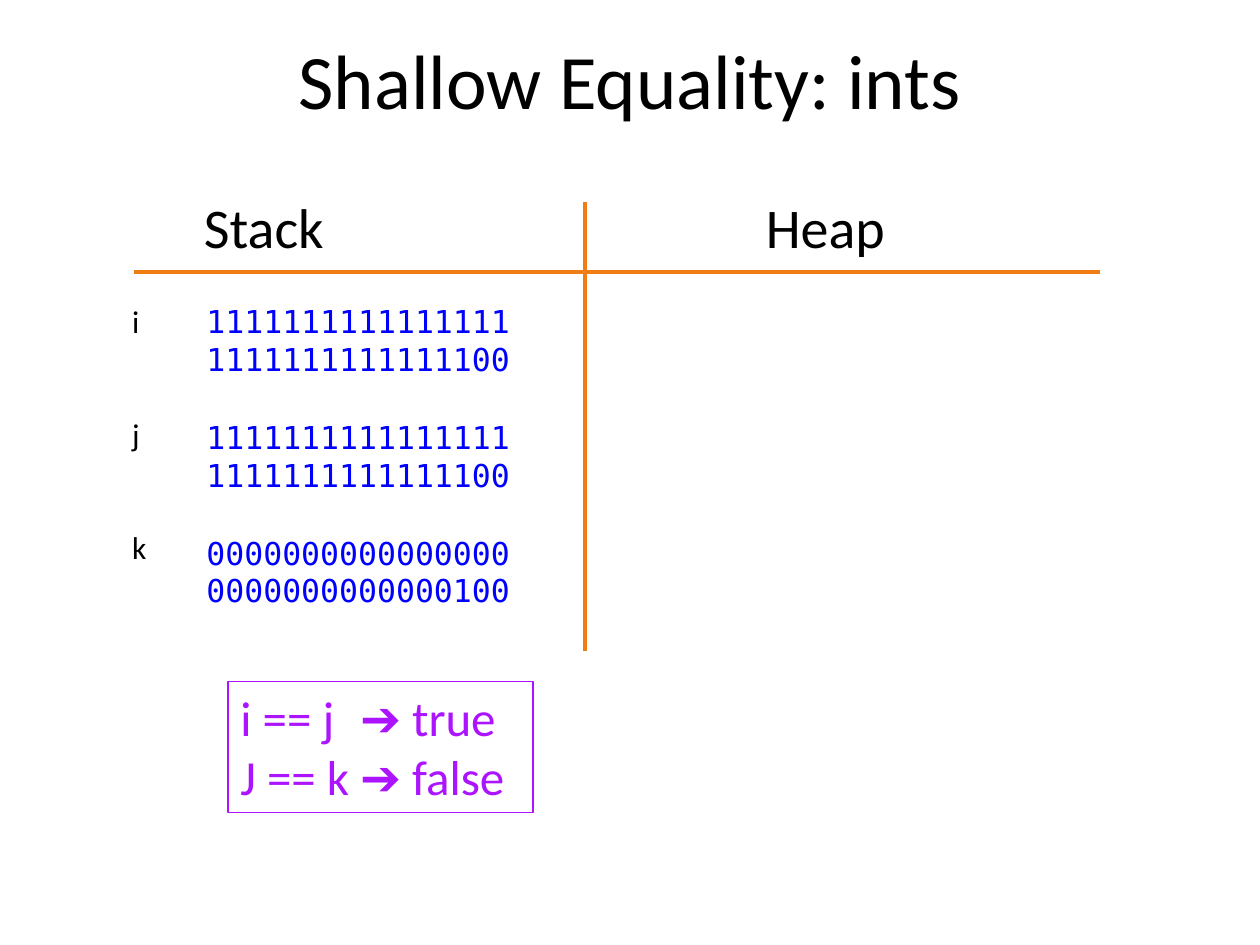
from dataclasses import dataclass

from pptx import Presentation, util as u
from pptx.dml.color import RGBColor
from pptx.enum import shapes, text
from pptx.oxml.ns import qn
from lxml import etree

Inches, Pt = u.Inches, u.Pt


@dataclass(frozen=True)
class Theme:
    ink: str = "000000"
    rule: str = "F27C14"
    bits: str = "0000FF"
    result: str = "AC13FF"
    body_font: str = "Calibri"
    code_font: str = "DejaVu Sans Mono"
    title_size: int = 44
    heading_size: int = 32
    result_size: int = 28
    body_size: int = 18


theme = Theme()


def write(shape, lines, size, color=theme.ink, font=theme.body_font,
          align=text.PP_ALIGN.LEFT, anchor=text.MSO_ANCHOR.TOP,
          group=1, gap=0, tab=None):
    """Fill a shape with lines; each new group of lines starts after a gap."""
    frame = shape.text_frame
    frame.word_wrap = True
    frame.vertical_anchor = anchor
    for index, line in enumerate(lines):
        paragraph = frame.paragraphs[0] if index == 0 else frame.add_paragraph()
        if tab:
            stops = etree.SubElement(paragraph._p.get_or_add_pPr(), qn("a:tabLst"))
            etree.SubElement(stops, qn("a:tab"), pos=str(tab), algn="l")
        paragraph.text = line
        paragraph.alignment = align
        if index and index % group == 0:
            paragraph.space_before = Pt(gap)
        paragraph.font.size = Pt(size)
        paragraph.font.name = font
        paragraph.font.color.rgb = RGBColor.from_string(color)


presentation = Presentation()
presentation.slide_width, presentation.slide_height = Inches(10), Inches(7.5)
slide = presentation.slides.add_slide(presentation.slide_layouts[6])

# Title
title = slide.shapes.add_textbox(Inches(0.5), Inches(0), Inches(9), Inches(1.25))
write(title, ["Shallow Equality: ints"], theme.title_size,
      align=text.PP_ALIGN.CENTER, anchor=text.MSO_ANCHOR.MIDDLE)

# Column headings
for heading, left in (("Stack", 1.52), ("Heap", 5.98)):
    box = slide.shapes.add_textbox(Inches(left), Inches(1.48), Inches(1.84), Inches(0.64))
    write(box, [heading], theme.heading_size)

# Dividers between the columns and below the headings
for ends in ((4.64, 5.17, 4.64, 1.6), (1.06, 2.16, 8.73, 2.16)):
    divider = slide.shapes.add_connector(shapes.MSO_CONNECTOR.STRAIGHT, *map(Inches, ends))
    divider.line.color.rgb = RGBColor.from_string(theme.rule)
    divider.line.width = Pt(2.25)
    etree.SubElement(divider._element.spPr, qn("a:effectLst"))

# Stack variables: names and their 32 bits on two lines each
variables = {
    "i": ("1111111111111111", "1111111111111100"),
    "j": ("1111111111111111", "1111111111111100"),
    "k": ("0000000000000000", "0000000000000100"),
}
bits = slide.shapes.add_textbox(Inches(1.54), Inches(2.35), Inches(2.8), Inches(2.83))
write(bits, [half for halves in variables.values() for half in halves],
      theme.body_size, theme.bits, theme.code_font, group=2, gap=22.9)
names = slide.shapes.add_textbox(Inches(0.95), Inches(2.35), Inches(0.32), Inches(2.22))
write(names, variables, theme.body_size, gap=42.8)

# Comparison results
results = slide.shapes.add_shape(shapes.MSO_SHAPE.RECTANGLE,
                                 Inches(1.81), Inches(5.41), Inches(2.42), Inches(1.04))
results.shadow.inherit = False
results.fill.background()
results.line.color.rgb = RGBColor.from_string(theme.result)
results.line.width = Pt(0.75)
write(results, ["i == j\t➔ true", "J == k\t➔ false"], theme.result_size,
      theme.result, tab=Inches(0.95))

presentation.save("out.pptx")
